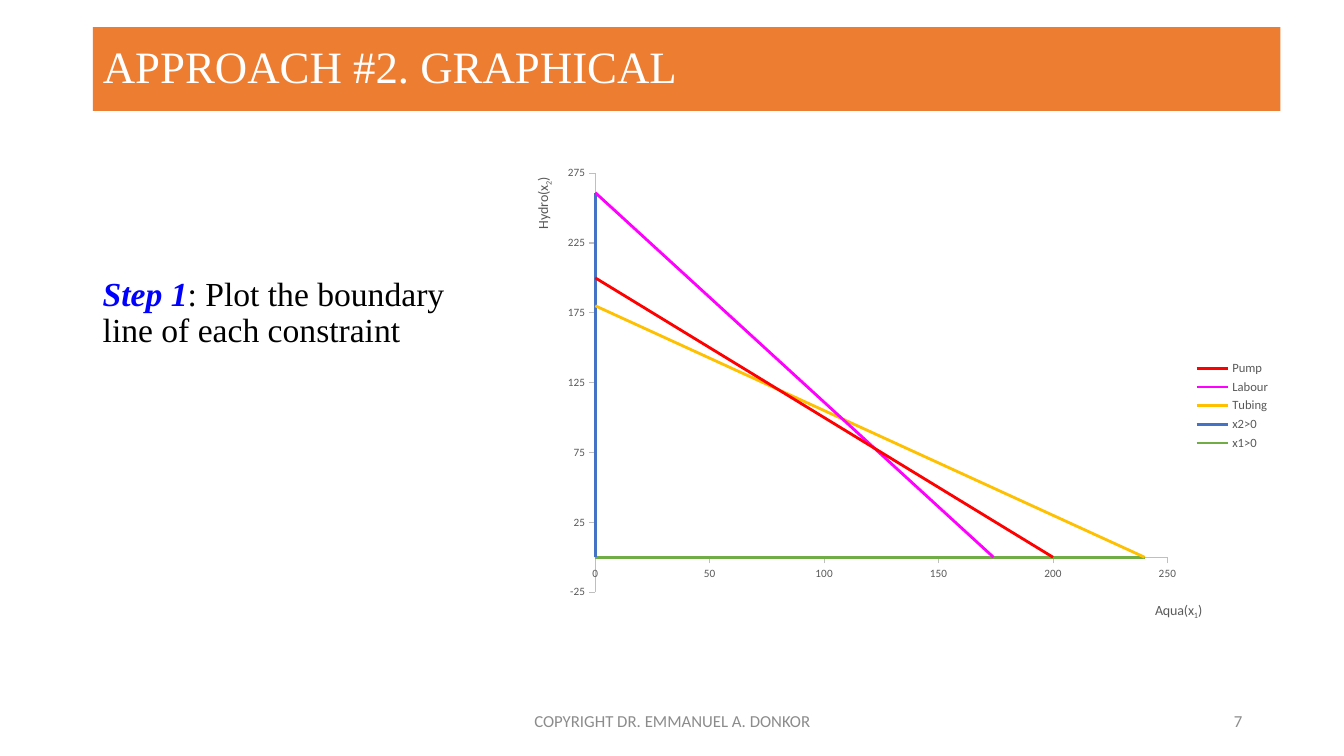
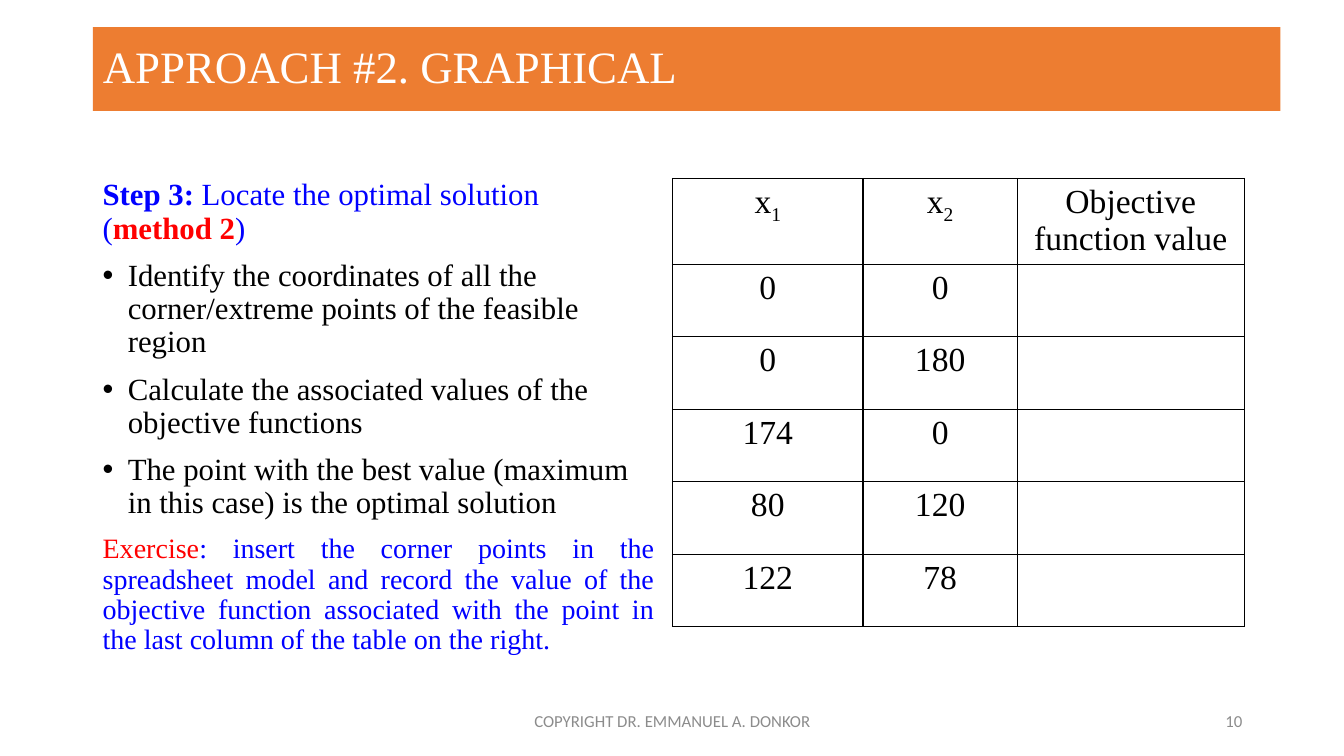
from dataclasses import dataclass

from lxml import etree
from pptx import Presentation
from pptx import util as u
from pptx.chart.data import XyChartData
from pptx.dml.color import RGBColor
from pptx.enum import chart as charts, text
from pptx.oxml import ns


@dataclass(frozen=True)
class Theme:
    """Colours, fonts and type sizes shared by the slides."""
    band: str = "ED7D31"
    white: str = "FFFFFF"
    ink: str = "000000"
    blue: str = "0000FF"
    red: str = "FF0000"
    muted: str = "8C8C8C"
    label: str = "595959"
    axis: str = "BFBFBF"
    serif: str = "Times New Roman"
    sans: str = "Calibri"
    title: int = 32
    lead: int = 24
    body: int = 22
    exercise: int = 20
    footer: int = 12
    axis_title: int = 10
    legend: int = 9
    tick: int = 8


T = Theme()
TITLE = "APPROACH #2. GRAPHICAL"
COPYRIGHT = "COPYRIGHT DR. EMMANUEL A. DONKOR"
TITLE_BOX = (0.92, 0.27, 11.78, 0.83)
COPYRIGHT_BOX = (4.42, 6.95, 4.5, 0.4)
NUMBER_BOX = (9.42, 6.95, 3, 0.4)

SERIF = dict(name=T.serif, size=T.body, color=T.ink)
LEAD = SERIF | dict(size=T.lead)
BLUE = SERIF | dict(color=T.blue)
EXERCISE = BLUE | dict(size=T.exercise)
FOOTER = dict(name=T.sans, size=T.footer, color=T.muted)
AXIS_TITLE = dict(name=T.sans, size=T.axis_title, color=T.label, bold=False)
SUB = dict(subscript=True)

STEP_1_BOX = (0.92, 2.7, 4.11, 3.43)
STEP_1 = [
    dict(runs=[("Step 1", LEAD | dict(color=T.blue, bold=True, italic=True)),
               (": Plot the boundary line of each constraint", LEAD)]),
]
STEP_3_BOX = (0.92, 1.73, 5.67, 4.76)
STEP_3 = [
    dict(runs=[("Step 3: ", BLUE | dict(bold=True)),
               ("Locate the optimal solution (", BLUE),
               ("method 2", SERIF | dict(color=T.red, bold=True)),
               (")", BLUE)]),
    *[dict(runs=[(line, SERIF)], bullet=True) for line in (
        "Identify the coordinates of all the corner/extreme points of the feasible region",
        "Calculate the associated values of the objective functions",
        "The point with the best value (maximum in this case) is the optimal solution",
    )],
    dict(runs=[("Exercise", EXERCISE | dict(color=T.red)),
               (": insert the corner points in the spreadsheet model and record the value of "
                "the objective function associated with the point in the last column of the "
                "table on the right.", EXERCISE)],
         alignment=text.PP_ALIGN.JUSTIFY),
]

CHART_BOX = (5.03, 1.55, 7.67, 4.95)
PLOT_LAYOUT = dict(x=0.114, y=0.034, w=0.74, h=0.84)
CONSTRAINTS = [
    ("Pump", "FF0000", [(0, 200), (200, 0)]),
    ("Labour", "FF00FF", [(0, 261), (174, 0)]),
    ("Tubing", "FFC000", [(0, 180), (240, 0)]),
    ("x2>0", "4472C4", [(0, 0), (0, 261)]),
    ("x1>0", "70AD47", [(0, 0), (240, 0)]),
]
AXES = [
    dict(axis="category_axis", title="Aqua(x", index="1", low=0, high=250,
         rotation=0, layout=dict(x=0.834, y=0.885)),
    dict(axis="value_axis", title="Hydro(x", index="2", low=-25, high=275,
         rotation=-5400000, layout=dict(x=0.03, y=0.036)),
]

TABLE_AT = (6.67, 1.77)
COLUMN_WIDTHS = [1.89, 1.53, 2.25]
HEADER_HEIGHT, ROW_HEIGHT = 0.83, 0.72
HEADER = [[("x", LEAD), ("1", LEAD | SUB)],
          [("x", LEAD), ("2", LEAD | SUB)],
          [("Objective function value", LEAD)]]
CORNER_POINTS = [(0, 0), (0, 180), (174, 0), (80, 120), (122, 78)]


def inches(values):
    """Convert a sequence of numbers to lengths."""
    return [u.Inches(value) for value in values]


def assign(target, **values):
    """Set several attributes of one object."""
    for name, value in values.items():
        setattr(target, name, value)


def style_font(font, size, color, **values):
    """Apply a text style to a font."""
    assign(font, size=u.Pt(size), **values)
    font.color.rgb = RGBColor.from_string(color)


def add_runs(paragraph, runs):
    """Add styled runs, lowering the subscripts."""
    for words, style in runs:
        run = paragraph.add_run()
        run.text = words
        style_font(run.font, **{k: v for k, v in style.items() if k != "subscript"})
        if style.get("subscript"):
            run._r.get_or_add_rPr().set("baseline", "-25000")


def add_bullet(paragraph):
    """Give a paragraph a hanging bullet."""
    properties = paragraph._p.get_or_add_pPr()
    hang = u.Inches(0.25)
    properties.set("marL", str(hang))
    properties.set("indent", str(-hang))
    etree.SubElement(properties, ns.qn("a:buFont"), typeface="Arial")
    etree.SubElement(properties, ns.qn("a:buChar"), char="•")


def add_text(slide, box, paragraphs, anchor=text.MSO_ANCHOR.TOP, spacing=0.9):
    """Add a wrapped text box of styled paragraphs."""
    frame = slide.shapes.add_textbox(*inches(box)).text_frame
    assign(frame, word_wrap=True, vertical_anchor=anchor)
    for i, content in enumerate(paragraphs):
        paragraph = frame.add_paragraph() if i else frame.paragraphs[0]
        assign(paragraph, line_spacing=spacing, alignment=content.get("alignment"))
        if i:
            paragraph.space_before = u.Pt(10)
        if content.get("bullet"):
            add_bullet(paragraph)
        add_runs(paragraph, content["runs"])


def add_slide(deck, number):
    """Add a slide with its title band and footer."""
    slide = deck.slides.add_slide(deck.slide_layouts[5])
    title = slide.shapes.title
    left, top, width, height = inches(TITLE_BOX)
    assign(title, left=left, top=top, width=width, height=height)
    title.fill.solid()
    title.fill.fore_color.rgb = RGBColor.from_string(T.band)
    assign(title.text_frame, word_wrap=True, auto_size=text.MSO_AUTO_SIZE.NONE,
           vertical_anchor=text.MSO_ANCHOR.MIDDLE)
    heading = title.text_frame.paragraphs[0]
    assign(heading, alignment=text.PP_ALIGN.LEFT, line_spacing=0.9)
    add_runs(heading, [(TITLE, dict(name=T.serif, size=T.title, color=T.white))])
    for box, words, alignment in (
            (COPYRIGHT_BOX, COPYRIGHT, text.PP_ALIGN.CENTER),
            (NUMBER_BOX, str(number), text.PP_ALIGN.RIGHT)):
        add_text(slide, box, [dict(runs=[(words, FOOTER)], alignment=alignment)],
                 text.MSO_ANCHOR.MIDDLE, 1.0)
    return slide


def place(element, position, inner=False):
    """Place a chart part at fractions of the chart area."""
    for old in element.findall(ns.qn("c:layout")):
        element.remove(old)
    layout = etree.Element(ns.qn("c:layout"))
    manual = etree.SubElement(layout, ns.qn("c:manualLayout"))
    settings = dict(layoutTarget="inner") if inner else {}
    settings |= dict(xMode="edge", yMode="edge") | position
    for name, value in settings.items():
        etree.SubElement(manual, ns.qn(f"c:{name}"), val=str(value))
    element.insert(0 if element.find(ns.qn("c:tx")) is None else 1, layout)


def format_axis(axis, content):
    """Set the scale, line, labels and title of an axis."""
    assign(axis, minimum_scale=content["low"], maximum_scale=content["high"],
           major_unit=50, has_major_gridlines=False, has_minor_gridlines=False,
           major_tick_mark=charts.XL_TICK_MARK.OUTSIDE,
           minor_tick_mark=charts.XL_TICK_MARK.NONE,
           tick_label_position=charts.XL_TICK_LABEL_POSITION.NEXT_TO_AXIS)
    axis.format.line.color.rgb = RGBColor.from_string(T.axis)
    axis.format.line.width = u.Pt(0.75)
    style_font(axis.tick_labels.font, T.tick, T.label, name=T.sans)
    axis.has_title = True
    title = axis.axis_title
    add_runs(title.text_frame.paragraphs[0], [
        (content["title"], AXIS_TITLE), (content["index"], AXIS_TITLE | SUB), (")", AXIS_TITLE)])
    title._element.find(".//" + ns.qn("a:bodyPr")).set("rot", str(content["rotation"]))
    place(title._element, content["layout"])


def add_constraint_chart(slide):
    """Plot the boundary line of every constraint."""
    data = XyChartData()
    for name, _, points in CONSTRAINTS:
        line = data.add_series(name)
        for x, y in points:
            line.add_data_point(x, y)
    chart = slide.shapes.add_chart(charts.XL_CHART_TYPE.XY_SCATTER_LINES_NO_MARKERS,
                                   *inches(CHART_BOX), data).chart
    assign(chart, has_title=False, has_legend=True)
    style_font(chart.font, T.axis_title, T.ink, name=T.sans)
    assign(chart.legend, position=charts.XL_LEGEND_POSITION.RIGHT, include_in_layout=False)
    style_font(chart.legend.font, T.legend, T.label, name=T.sans)
    plot = chart.plots[0]
    plot.vary_by_categories = False
    for series, (_, color, _) in zip(plot.series, CONSTRAINTS):
        series.smooth = False
        series.format.line.color.rgb = RGBColor.from_string(color)
        series.format.line.width = u.Pt(2)
    for content in AXES:
        format_axis(getattr(chart, content["axis"]), content)
    place(chart._chartSpace.find(".//" + ns.qn("c:plotArea")), PLOT_LAYOUT, inner=True)


def add_borders(cell):
    """Draw a thin line on each side of a cell."""
    properties = cell._tc.get_or_add_tcPr()
    for i, side in enumerate(("lnL", "lnR", "lnT", "lnB")):
        line = etree.Element(ns.qn(f"a:{side}"), w=str(u.Pt(1)))
        fill = etree.SubElement(line, ns.qn("a:solidFill"))
        etree.SubElement(fill, ns.qn("a:srgbClr"), val=T.ink)
        properties.insert(i, line)


def add_corner_table(slide):
    """Tabulate the corner points with room for their values."""
    rows = [HEADER] + [[[(str(x1), LEAD)], [(str(x2), LEAD)], []] for x1, x2 in CORNER_POINTS]
    heights = [HEADER_HEIGHT] + [ROW_HEIGHT] * len(CORNER_POINTS)
    size = (sum(COLUMN_WIDTHS), sum(heights))
    table = slide.shapes.add_table(len(rows), len(COLUMN_WIDTHS),
                                   *inches(TABLE_AT + size)).table
    assign(table, first_row=False, horz_banding=False)
    for column, width in zip(table.columns, inches(COLUMN_WIDTHS)):
        column.width = width
    for row, height, contents in zip(table.rows, inches(heights), rows):
        row.height = height
        for cell, runs in zip(row.cells, contents):
            cell.margin_bottom = 0
            cell.fill.background()
            add_borders(cell)
            paragraph = cell.text_frame.paragraphs[0]
            paragraph.alignment = text.PP_ALIGN.CENTER
            add_runs(paragraph, runs)


def main():
    """Build and save the two slides."""
    deck = Presentation()
    assign(deck, slide_width=u.Inches(13.33), slide_height=u.Inches(7.5))
    plotting = add_slide(deck, 7)
    add_text(plotting, STEP_1_BOX, STEP_1)
    add_constraint_chart(plotting)
    locating = add_slide(deck, 10)
    add_text(locating, STEP_3_BOX, STEP_3)
    add_corner_table(locating)
    deck.save("out.pptx")


if __name__ == "__main__":
    main()
